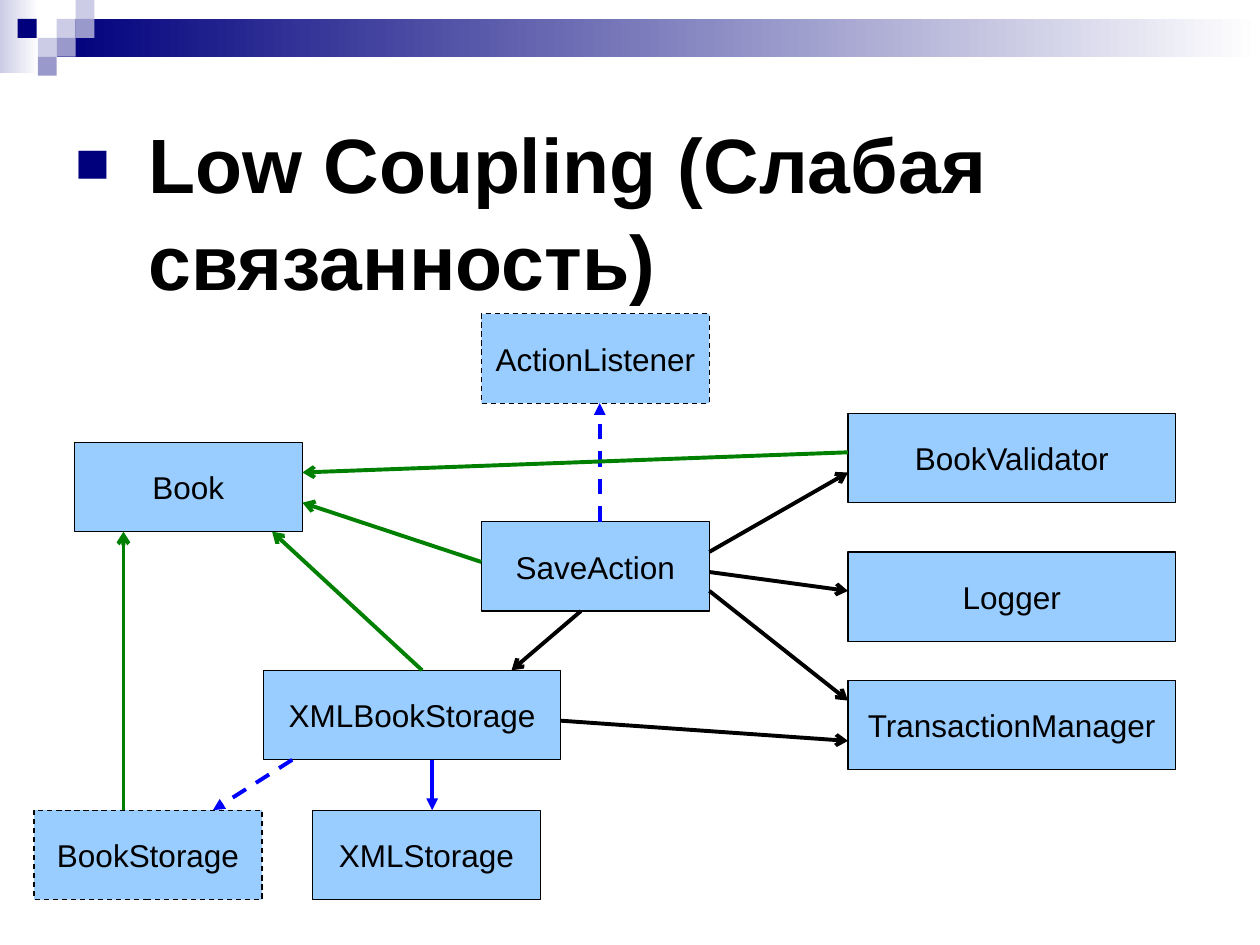
from lxml import etree
from pptx import Presentation
from pptx.dml.color import RGBColor
from pptx.enum.dml import MSO_LINE
from pptx.enum.shapes import MSO_CONNECTOR, MSO_SHAPE
from pptx.enum.text import MSO_ANCHOR, PP_ALIGN
from pptx.oxml.ns import qn
from pptx.util import Inches, Pt


def color(value):
    return RGBColor.from_string(value)


def add_box(left, top, width, height, fill):
    box = page.shapes.add_shape(
        MSO_SHAPE.RECTANGLE, Inches(left), Inches(top), Inches(width), Inches(height))
    box.shadow.inherit = False
    box.line.fill.background()
    if isinstance(fill, tuple):
        box.fill.gradient()
        box.fill.gradient_angle = 0
        for stop, position, value in zip(box.fill.gradient_stops, (0, 1), fill):
            stop.position = position
            stop.color.rgb = color(value)
    else:
        box.fill.solid()
        box.fill.fore_color.rgb = color(fill)
    return box


deck = Presentation()
deck.slide_width = Inches(10)
deck.slide_height = Inches(7.5)
page = deck.slides.add_slide(deck.slide_layouts[6])

NAVY, LILAC, VIOLET, WHITE = "00007D", "CCCCE6", "9999CC", "FFFFFF"
add_box(0, 0, 0.31, 0.58, (LILAC, WHITE))
add_box(0.45, 0.15, 9.55, 0.3, (NAVY, WHITE))
mosaic = [
    (0.45, 0.15, LILAC), (0.6, 0, LILAC), (0.6, 0.15, VIOLET), (0.3, 0.3, LILAC),
    (0.14, 0.15, NAVY), (0.45, 0.3, VIOLET), (0.3, 0.45, VIOLET),
]
for left, top, fill in mosaic:
    add_box(left, top, 0.15, 0.15, fill)

title = page.shapes.add_textbox(Inches(0.5), Inches(0.84), Inches(9), Inches(1.65))
title.text_frame.word_wrap = True
title.text_frame.text = "Low Coupling (Слабая связанность)"
para = title.text_frame.paragraphs[0]
para.line_spacing = 1.05
font = para.runs[0].font
font.name, font.size, font.bold = "Arial", Pt(44), True
font.color.rgb = color("000000")
props = para._p.get_or_add_pPr()
props.set("marL", str(Inches(0.58)))
props.set("indent", str(Inches(-0.58)))
bullet_color = etree.SubElement(props, qn("a:buClr"))
etree.SubElement(bullet_color, qn("a:srgbClr"), val=NAVY)
etree.SubElement(props, qn("a:buSzPct"), val="75000")
etree.SubElement(props, qn("a:buFont"), typeface="Arial")
etree.SubElement(props, qn("a:buChar"), char="■")

classes = [
    ("SaveAction", 3.82, 4.14, 1.81, False),
    ("Book", 0.59, 3.51, 1.81, False),
    ("ActionListener", 3.82, 2.49, 1.81, True),
    ("BookStorage", 0.27, 6.43, 1.81, True),
    ("XMLStorage", 2.48, 6.43, 1.81, False),
    ("XMLBookStorage", 2.09, 5.32, 2.36, False),
    ("TransactionManager", 6.73, 5.4, 2.6, False),
    ("BookValidator", 6.73, 3.28, 2.6, False),
    ("Logger", 6.73, 4.38, 2.6, False),
]
for name, left, top, width, dashed in classes:
    box = add_box(left, top, width, 0.71, "99CCFF")
    box.line.color.rgb = color("000000")
    box.line.width = Pt(0.75)
    if dashed:
        box.line.dash_style = MSO_LINE.DASH
    frame = box.text_frame
    frame.word_wrap = False
    frame.vertical_anchor = MSO_ANCHOR.MIDDLE
    frame.text = name
    para = frame.paragraphs[0]
    para.alignment = PP_ALIGN.CENTER
    font = para.runs[0].font
    font.name, font.size = "Arial", Pt(18)
    font.color.rgb = color("000000")

BLUE, BLACK, GREEN = "0000FF", "000000", "008000"
arrows = [
    (4.76, 4.14, 4.76, 3.2, BLUE, True),
    (2.32, 6.03, 1.69, 6.43, BLUE, True),
    (3.43, 6.03, 3.43, 6.43, BLUE, False),
    (4.61, 4.85, 4.06, 5.32, BLACK, False),
    (5.63, 4.38, 6.73, 3.75, BLACK, False),
    (5.63, 4.54, 6.73, 4.69, BLACK, False),
    (5.63, 4.69, 6.73, 5.56, BLACK, False),
    (4.45, 5.72, 6.73, 5.88, BLACK, False),
    (3.82, 4.46, 2.4, 3.99, GREEN, False),
    (3.35, 5.32, 2.16, 4.22, GREEN, False),
    (0.98, 6.43, 0.98, 4.22, GREEN, False),
    (6.73, 3.59, 2.4, 3.75, GREEN, False),
]
for x1, y1, x2, y2, stroke, dashed in arrows:
    arrow = page.shapes.add_connector(
        MSO_CONNECTOR.STRAIGHT, Inches(x1), Inches(y1), Inches(x2), Inches(y2))
    arrow.line.color.rgb = color(stroke)
    arrow.line.width = Pt(2.25)
    if dashed:
        arrow.line.dash_style = MSO_LINE.DASH
    head = "triangle" if stroke == BLUE else "arrow"
    etree.SubElement(arrow.line._get_or_add_ln(), qn("a:tailEnd"), type=head)
    etree.SubElement(arrow._element.spPr, qn("a:effectLst"))

deck.save("out.pptx")
